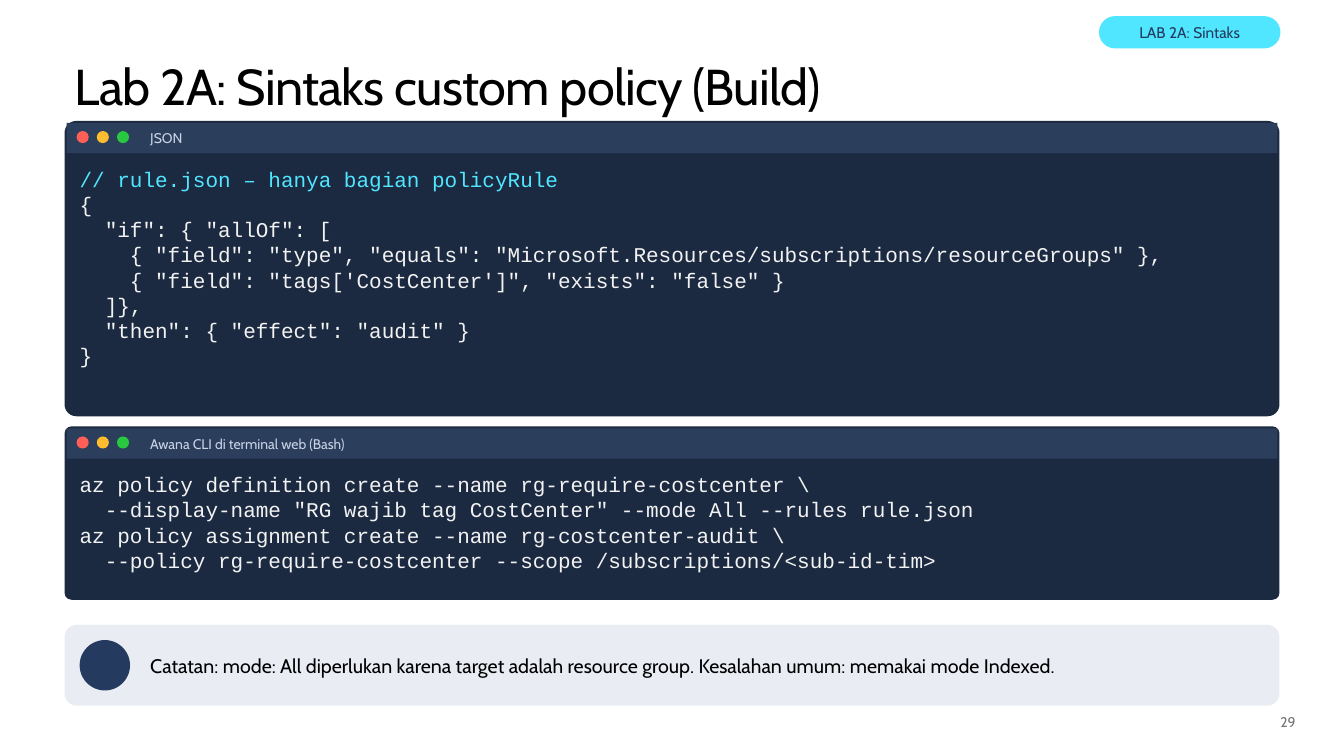
from pptx import Presentation
from pptx.dml.color import RGBColor
from pptx.enum.shapes import MSO_SHAPE as Shape
from pptx.enum.text import MSO_ANCHOR as Anchor, PP_ALIGN as Align
from pptx.util import Inches, Pt

BLACK = RGBColor(0x00, 0x00, 0x00)
GRAY = RGBColor(0x73, 0x73, 0x73)
CYAN = RGBColor(0x50, 0xE6, 0xFF)
NAVY = RGBColor(0x24, 0x3A, 0x5E)
PANEL = RGBColor(0x1B, 0x2A, 0x41)
HEADER = RGBColor(0x2B, 0x3E, 0x5C)
CAPTION = RGBColor(0xC8, 0xD3, 0xE6)
CODE = RGBColor(0xF2, 0xF2, 0xF2)
NOTE = RGBColor(0xE9, 0xED, 0xF3)
WINDOW_DOTS = (
    RGBColor(0xFF, 0x5F, 0x57),
    RGBColor(0xFE, 0xBC, 0x2E),
    RGBColor(0x28, 0xC8, 0x40),
)

BODY_FONT = "Cabin"
CODE_FONT = "Courier New"
LEFT, WIDTH = 0.64, 12.05
TEXT_INDENT = 0.8
HEADER_HEIGHT = 0.3

RULE_LINES = (
    "// rule.json – hanya bagian policyRule",
    "{",
    '  "if": { "allOf": [',
    '    { "field": "type", "equals": "Microsoft.Resources/subscriptions/resourceGroups" },',
    '    { "field": "tags[\'CostCenter\']", "exists": "false" }',
    "  ]},",
    '  "then": { "effect": "audit" }',
    "}",
)
SHELL_LINES = (
    "az policy definition create --name rg-require-costcenter \\",
    '  --display-name "RG wajib tag CostCenter" --mode All --rules rule.json',
    "az policy assignment create --name rg-costcenter-audit \\",
    "  --policy rg-require-costcenter --scope /subscriptions/<sub-id-tim>",
)


def add_run(paragraph, text, size, color, font=BODY_FONT):
    run = paragraph.add_run()
    run.text = text
    run.font.size = Pt(size)
    run.font.name = font
    run.font.color.rgb = color
    return run


def add_box(slide, kind, box, color, corner=None):
    shape = slide.shapes.add_shape(kind, *map(Inches, box))
    shape.shadow.inherit = False
    shape.fill.solid()
    shape.fill.fore_color.rgb = color
    shape.line.fill.background()
    if corner is not None:
        shape.adjustments[0] = corner
    return shape


def set_frame(frame, horizontal, vertical, anchor):
    frame.word_wrap = True
    frame.margin_left = frame.margin_right = Inches(horizontal)
    frame.margin_top = frame.margin_bottom = Inches(vertical)
    frame.vertical_anchor = anchor


def add_label(slide, box, text, size, color, align=Align.LEFT, anchor=Anchor.MIDDLE):
    frame = slide.shapes.add_textbox(*map(Inches, box)).text_frame
    set_frame(frame, 0.05, 0.03, anchor)
    paragraph = frame.paragraphs[0]
    paragraph.alignment = align
    add_run(paragraph, text, size, color)


def add_title(slide, box, text):
    title = slide.shapes.title
    title.left, title.top, title.width, title.height = map(Inches, box)
    frame = title.text_frame
    set_frame(frame, 0.1, 0.05, Anchor.TOP)
    paragraph = frame.paragraphs[0]
    paragraph.alignment = Align.LEFT
    run = add_run(paragraph, text, 36, BLACK)
    run.font._element.set("spc", "-50")


def add_badge(slide, box, text):
    badge = add_box(slide, Shape.ROUNDED_RECTANGLE, box, CYAN, 0.5)
    set_frame(badge.text_frame, 0.1, 0, Anchor.MIDDLE)
    paragraph = badge.text_frame.paragraphs[0]
    paragraph.alignment = Align.CENTER
    add_run(paragraph, text, 11, NAVY)


def add_code_lines(slide, box, lines):
    frame = slide.shapes.add_textbox(*map(Inches, box)).text_frame
    set_frame(frame, 0.03, 0.05, Anchor.TOP)
    for index, line in enumerate(lines):
        paragraph = frame.add_paragraph() if index else frame.paragraphs[0]
        paragraph.line_spacing = Pt(18)
        color = CYAN if line.startswith("//") else CODE
        add_run(paragraph, line, 15, color, CODE_FONT)


def add_code_window(slide, box, caption, lines):
    left, top, width, height = box
    add_box(slide, Shape.ROUNDED_RECTANGLE, box, PANEL, 0.04)
    header_top = top + 0.02
    header = (left + 0.02, header_top, width - 0.04, HEADER_HEIGHT)
    add_box(slide, Shape.RECTANGLE, header, HEADER)
    for index, color in enumerate(WINDOW_DOTS):
        dot = (left + 0.12 + 0.2 * index, top + 0.1, 0.12, 0.12)
        add_box(slide, Shape.OVAL, dot, color)
    caption_box = (left + TEXT_INDENT, header_top, width - 1, HEADER_HEIGHT)
    add_label(slide, caption_box, caption, 10, CAPTION)
    add_code_lines(slide, (left + 0.12, top + 0.4, width - 0.24, height - 0.48), lines)


def add_note(slide, box, text):
    left, top, width, height = box
    add_box(slide, Shape.ROUNDED_RECTANGLE, box, NOTE, 0.15)
    add_box(slide, Shape.OVAL, (left + 0.15, top + 0.15, 0.5, 0.5), NAVY)
    add_label(slide, (left + TEXT_INDENT, top, width - 0.95, height), text, 14, BLACK)


def main():
    presentation = Presentation()
    presentation.slide_width = Inches(13.33)
    presentation.slide_height = Inches(7.5)
    slide = presentation.slides.add_slide(presentation.slide_layouts[5])
    add_title(slide, (LEFT, 0.5, WIDTH, 0.61), "Lab 2A: Sintaks custom policy (Build)")
    add_label(slide, (12.15, 7.05, 0.75, 0.3), "29", 10, GRAY, Align.RIGHT, Anchor.TOP)
    add_badge(slide, (10.9, 0.16, 1.8, 0.32), "LAB 2A: Sintaks")
    add_code_window(slide, (LEFT, 1.2, WIDTH, 2.93), "JSON", RULE_LINES)
    add_code_window(
        slide, (LEFT, 4.23, WIDTH, 1.72), "Awana CLI di terminal web (Bash)", SHELL_LINES
    )
    add_note(
        slide,
        (LEFT, 6.2, WIDTH, 0.8),
        "Catatan: mode: All diperlukan karena target adalah resource group. "
        "Kesalahan umum: memakai mode Indexed.",
    )
    presentation.save("out.pptx")


if __name__ == "__main__":
    main()
